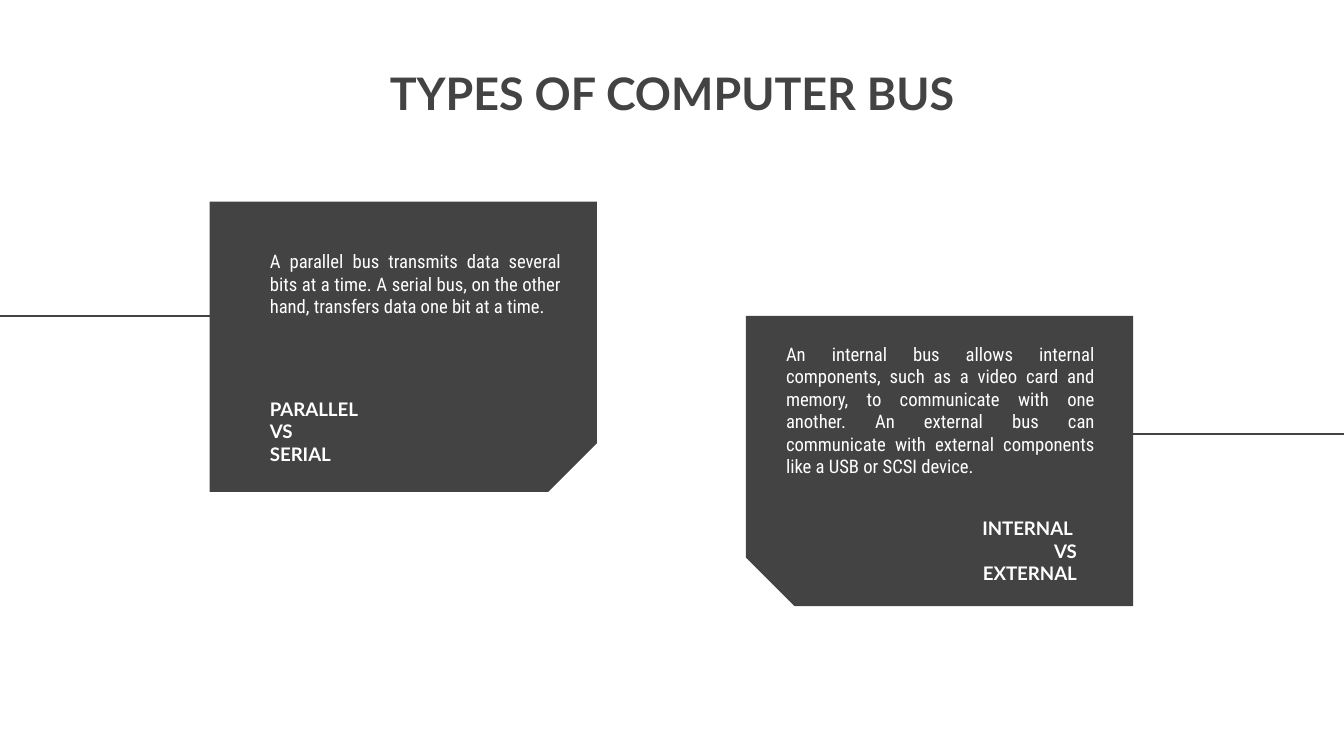
from pptx import Presentation
from pptx.dml.color import RGBColor
from pptx.enum.shapes import MSO_CONNECTOR, MSO_SHAPE
from pptx.enum.text import MSO_ANCHOR, PP_ALIGN
from pptx.oxml.ns import qn
from pptx.util import Inches, Pt
from lxml import etree

SNIPPED = MSO_SHAPE.SNIP_1_RECTANGLE
STRAIGHT = MSO_CONNECTOR.STRAIGHT
TOP, BOTTOM = MSO_ANCHOR.TOP, MSO_ANCHOR.BOTTOM
LEFT, CENTER, RIGHT, JUSTIFY = PP_ALIGN.LEFT, PP_ALIGN.CENTER, PP_ALIGN.RIGHT, PP_ALIGN.JUSTIFY
COLORS = {"dark": "434343", "white": "FFFFFF"}
HEADING_FONT, BODY_FONT = "Lato", "Roboto Condensed"
PAGE_WIDTH = 10
PAGE_HEIGHT = PAGE_WIDTH * 9 / 16
CARD_WIDTH, CARD_HEIGHT = 2.88, 2.16


def color(name):
    """Return the named colour."""
    return RGBColor.from_string(COLORS[name])


def add_text(page, box, text, *, font, size=10, ink="white", bold=False, align=LEFT, anchor=TOP):
    """Place a wrapped text box; newlines become line breaks."""
    frame = page.shapes.add_textbox(*map(Inches, box)).text_frame
    frame.word_wrap = True
    frame.vertical_anchor = anchor
    frame.margin_left = frame.margin_right = Inches(0.1)
    frame.margin_top = frame.margin_bottom = Inches(0.1)
    para = frame.paragraphs[0]
    para.text = text
    para.alignment = align
    for span in para.runs:
        span.font.name = font
        span.font.size = Pt(size)
        span.font.bold = bold
        span.font.color.rgb = color(ink)


def add_rule(page, start, end, top):
    """Draw a thin horizontal line."""
    rule = page.shapes.add_connector(STRAIGHT, *map(Inches, (start, top, end, top)))
    rule.line.color.rgb = color("dark")
    rule.line.width = Pt(0.75)
    etree.SubElement(rule._element.spPr, qn("a:effectLst"))


def add_panel(page, left, top, mirrored):
    """Draw a dark card snipped at the bottom right, or bottom left if mirrored."""
    shift = (CARD_WIDTH - CARD_HEIGHT) / 2
    box = (left + shift, top - shift, CARD_HEIGHT, CARD_WIDTH)
    panel = page.shapes.add_shape(SNIPPED, *map(Inches, box))
    panel.rotation = 90
    if mirrored:
        panel.rotation = 270
        panel._element.spPr.xfrm.set("flipH", "1")
    panel.adjustments[0] = 0.167
    panel.shadow.inherit = False
    panel.fill.solid()
    panel.fill.fore_color.rgb = color("dark")
    panel.line.fill.background()


def add_card(page, left, top, *, rule, heading, heading_box, body, body_box, mirrored=False):
    """Build a card with its line, heading and body placed from its corner."""
    def inside(box):
        """Shift a box from card to page coordinates."""
        return left + box[0], top + box[1], box[2], box[3]

    add_panel(page, left, top, mirrored)
    start, end, offset = rule
    add_rule(page, start, end, top + offset)
    add_text(page, inside(heading_box), heading, font=HEADING_FONT, bold=True,
             align=RIGHT if mirrored else LEFT, anchor=BOTTOM)
    add_text(page, inside(body_box), body, font=BODY_FONT, align=JUSTIFY)


def build_slide(page):
    """Place the title and the two cards."""
    add_text(page, (2.15, 0.39, 5.7, 1.03), "TYPES OF COMPUTER BUS",
             font=HEADING_FONT, size=24, ink="dark", bold=True, align=CENTER)
    add_card(page, 5.55, 2.35, mirrored=True, rule=(PAGE_WIDTH, 7.31, 0.88),
             heading="INTERNAL \vVS\vEXTERNAL", heading_box=(0.61, 1.47, 1.95, 0.63),
             body="An internal bus allows internal components, such as a video card and "
                  "memory, to communicate with one another. An external bus can "
                  "communicate with external components like a USB or SCSI device.",
             body_box=(0.2, 0.1, 2.49, 1.3))
    add_card(page, 1.56, 1.5, rule=(2.65, 0, 0.85),
             heading="PARALLEL \vVS\vSERIAL", heading_box=(0.35, 1.45, 1.79, 0.61),
             body="A parallel bus transmits data several bits at a time. A serial bus, "
                  "on the other hand, transfers data one bit at a time.",
             body_box=(0.35, 0.26, 2.36, 1.05))


def main():
    """Create and save the deck."""
    deck = Presentation()
    deck.slide_width, deck.slide_height = Inches(PAGE_WIDTH), Inches(PAGE_HEIGHT)
    build_slide(deck.slides.add_slide(deck.slide_layouts[6]))
    deck.save("out.pptx")


if __name__ == "__main__":
    main()
